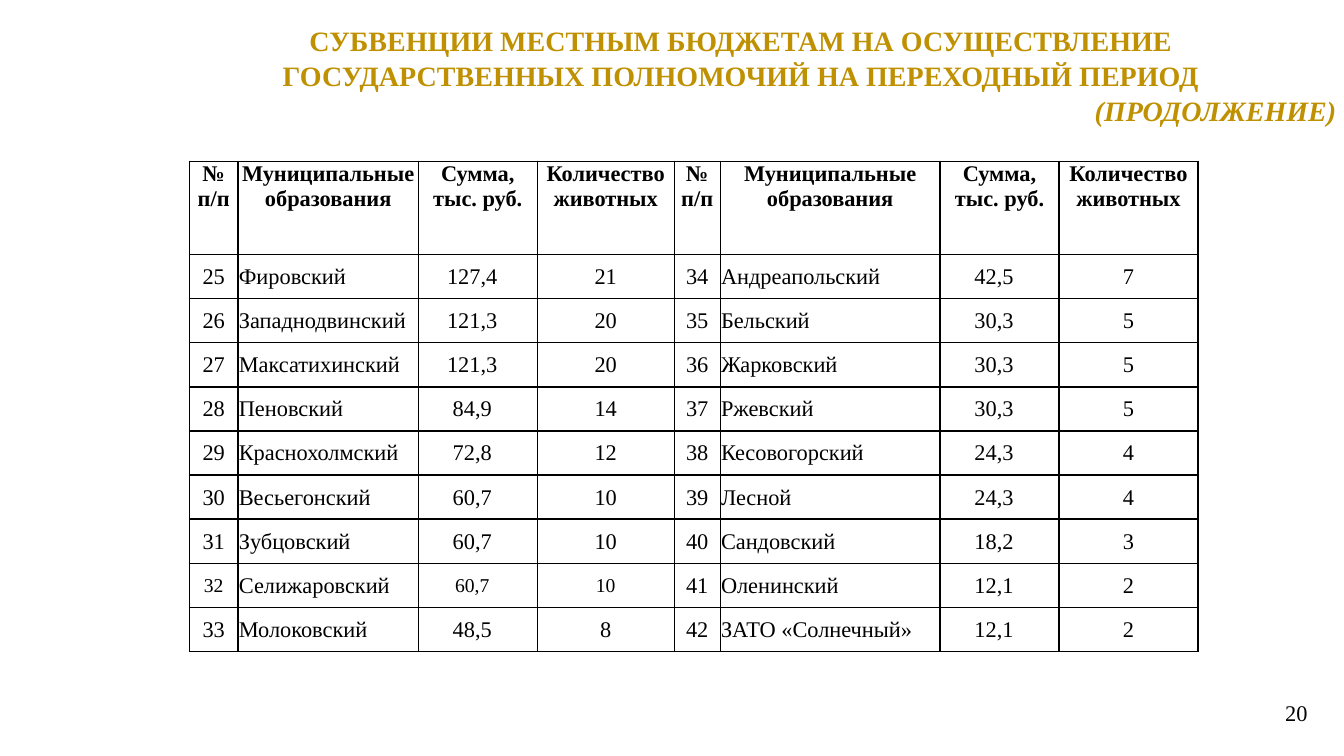
import pptx
import pptx.dml.color
import pptx.enum.text
import pptx.oxml
import pptx.oxml.ns
import pptx.util

Cm = pptx.util.Cm
Align = pptx.enum.text.PP_ALIGN
Anchor = pptx.enum.text.MSO_ANCHOR

GOLD = pptx.dml.color.RGBColor(0xBF, 0x90, 0x00)
BLACK = pptx.dml.color.RGBColor(0, 0, 0)
WHITE = pptx.dml.color.RGBColor(0xFF, 0xFF, 0xFF)

TITLE = [
    ("СУБВЕНЦИИ МЕСТНЫМ БЮДЖЕТАМ НА ОСУЩЕСТВЛЕНИЕ ", {}),
    ("ГОСУДАРСТВЕННЫХ ПОЛНОМОЧИЙ НА ПЕРЕХОДНЫЙ ПЕРИОД ", {}),
    ("(ПРОДОЛЖЕНИЕ)", {"italic": True, "align": Align.RIGHT}),
]

HEADINGS = ["№\nп/п", "Муниципальные образования",
            "Сумма,\vтыс. руб.", "Количество животных"]

# Municipality, sum in thousand roubles, number of animals
LEFT_FIRST, RIGHT_FIRST = 25, 34
LEFT_HALF = [
    ("Фировский", "127,4", 21),
    ("Западнодвинский", "121,3", 20),
    ("Максатихинский", "121,3", 20),
    ("Пеновский", "84,9", 14),
    ("Краснохолмский", "72,8", 12),
    ("Весьегонский", "60,7", 10),
    ("Зубцовский", "60,7", 10),
    ("Селижаровский", "60,7", 10),
    ("Молоковский", "48,5", 8),
]
RIGHT_HALF = [
    ("Андреапольский", "42,5", 7),
    ("Бельский", "30,3", 5),
    ("Жарковский", "30,3", 5),
    ("Ржевский", "30,3", 5),
    ("Кесовогорский", "24,3", 4),
    ("Лесной", "24,3", 4),
    ("Сандовский", "18,2", 3),
    ("Оленинский", "12,1", 2),
    ("ЗАТО «Солнечный»", "12,1", 2),
]
COLUMN_WIDTHS = [1.23, 4.54, 3, 3.45, 1.16, 5.54, 3, 3.5]
HEADER_HEIGHT, ROW_HEIGHT = 2.36, 1.11
NAME_COLUMNS, SUM_COLUMNS = (1, 5), (2, 6)
SMALL_NUMBER = 32  # this entry has smaller figures in the left half


def write(frame, text, size=16, color=BLACK, font="Times New Roman", bold=False,
          italic=False, align=Align.CENTER, spacing=1.0, append=False):
    """Write each line of text as a formatted paragraph."""
    for index, line in enumerate(text.split("\n")):
        new = append or index > 0
        paragraph = frame.add_paragraph() if new else frame.paragraphs[0]
        paragraph.text = line
        paragraph.alignment = align
        paragraph.line_spacing = spacing
        for run in paragraph.runs:
            run.font.name = font
            run.font.size = pptx.util.Pt(size)
            run.font.bold = bold
            run.font.italic = italic
            run.font.color.rgb = color


class SubventionSlide:
    def __init__(self, deck):
        self.border_color = BLACK
        self.border_width = pptx.util.Pt(1)
        self.inset = Cm(0.02)
        self.slide = deck.slides.add_slide(deck.slide_layouts[5])

    def title(self, lines, left, top, width, height):
        heading = self.slide.shapes.title
        heading.left, heading.top = Cm(left), Cm(top)
        heading.width, heading.height = Cm(width), Cm(height)
        frame = heading.text_frame
        frame.auto_size = pptx.enum.text.MSO_AUTO_SIZE.NONE
        frame.vertical_anchor = Anchor.MIDDLE
        for index, (line, style) in enumerate(lines):
            write(frame, line, size=20, color=GOLD, bold=True, spacing=1.04,
                  append=index > 0, **style)

    def label(self, text, left, top, width, height, **style):
        frame = self.slide.shapes.add_textbox(
            Cm(left), Cm(top), Cm(width), Cm(height)).text_frame
        frame.word_wrap = True
        frame.vertical_anchor = Anchor.MIDDLE
        write(frame, text, **style)

    def table(self, rows, widths, heights, left, top):
        grid = self.slide.shapes.add_table(
            len(rows), len(widths), Cm(left), Cm(top),
            Cm(sum(widths)), Cm(sum(heights))).table
        grid.first_row = grid.horz_banding = False
        for column, width in zip(grid.columns, widths):
            column.width = Cm(width)
        for row, height in zip(grid.rows, heights):
            row.height = Cm(height)
        for r, values in enumerate(rows):
            for c, value in enumerate(values):
                self.fill_cell(grid.cell(r, c), value, r == 0, c, values[0])

    def fill_cell(self, cell, value, is_header, column, number):
        self.add_borders(cell)
        cell.margin_left = cell.margin_top = cell.margin_right = self.inset
        cell.margin_bottom = 0
        if is_header:
            cell.fill.background()
            cell.vertical_anchor = Anchor.TOP
            write(cell.text_frame, value, bold=True)
            return
        cell.fill.solid()
        cell.fill.fore_color.rgb = WHITE
        cell.vertical_anchor = Anchor.MIDDLE
        if column in SUM_COLUMNS:
            cell.margin_right = Cm(0.3)
        is_name = column in NAME_COLUMNS
        is_small = number == SMALL_NUMBER and column < 4 and not is_name
        write(cell.text_frame, str(value), size=14 if is_small else 16,
              align=Align.LEFT if is_name else Align.CENTER)

    def add_borders(self, cell):
        properties = cell._tc.get_or_add_tcPr()
        for side in ("lnL", "lnR", "lnT", "lnB"):
            properties.append(pptx.oxml.parse_xml(
                f'<a:{side} {pptx.oxml.ns.nsdecls("a")} w="{self.border_width}">'
                f'<a:solidFill><a:srgbClr val="{self.border_color}"/></a:solidFill>'
                f'</a:{side}>'))


def main():
    deck = pptx.Presentation()
    deck.slide_width, deck.slide_height = Cm(33.87), Cm(19.05)
    page = SubventionSlide(deck)

    # Title
    page.title(TITLE, 3.58, 0.43, 30.35, 2.9)

    # Subventions by municipality, two halves side by side
    rows = [HEADINGS * 2]
    for offset, (left, right) in enumerate(zip(LEFT_HALF, RIGHT_HALF)):
        rows.append([LEFT_FIRST + offset, *left, RIGHT_FIRST + offset, *right])
    heights = [HEADER_HEIGHT] + [ROW_HEIGHT] * len(LEFT_HALF)
    page.table(rows, COLUMN_WIDTHS, heights, 4.77, 4.06)

    # Page number
    page.label("20", 25.3, 17.3, 7.9, 1.32, align=Align.RIGHT)

    deck.save("out.pptx")


if __name__ == "__main__":
    main()
